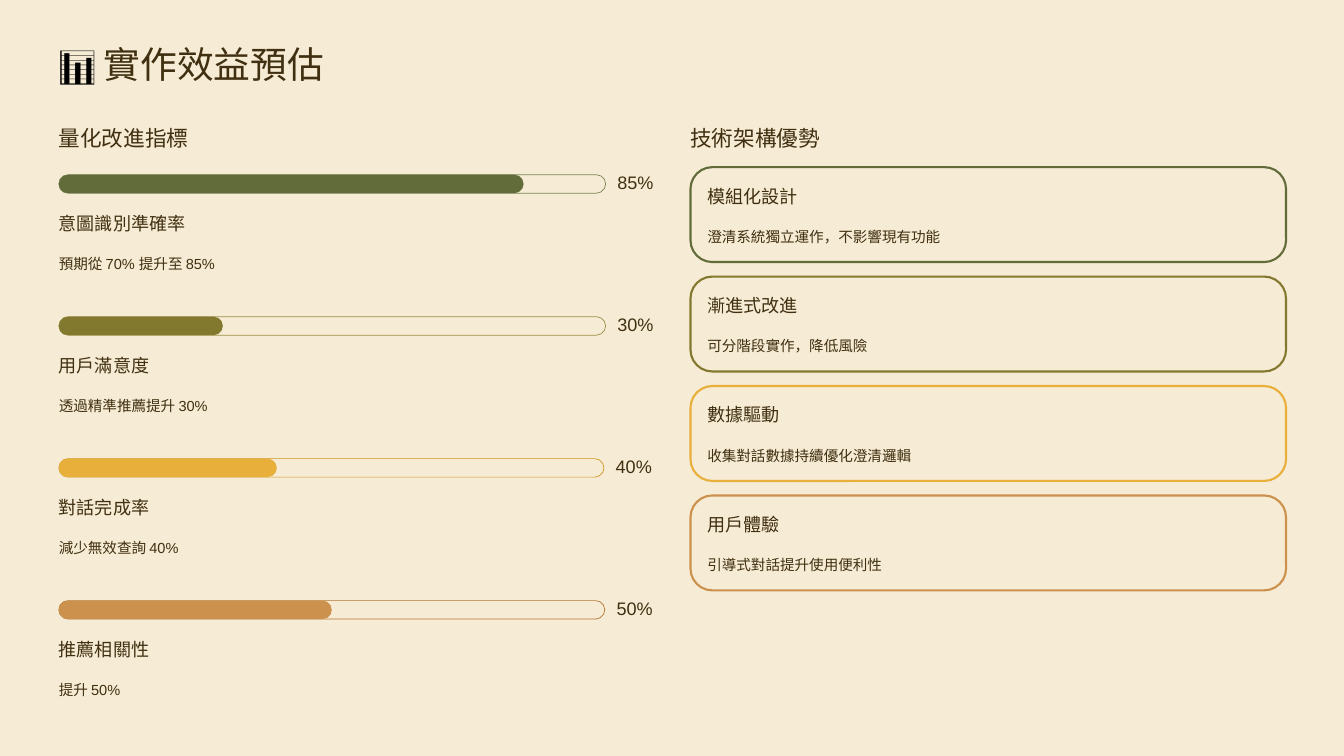
from pptx import Presentation
from pptx.dml.color import RGBColor
from pptx.enum.shapes import MSO_SHAPE
from pptx.util import Inches, Pt

CREAM = RGBColor(0xF6, 0xEB, 0xD4)
BROWN = RGBColor(0x40, 0x30, 0x11)
BLACK = RGBColor(0x00, 0x00, 0x00)
GREEN = RGBColor(0x62, 0x6C, 0x3B)
OLIVE = RGBColor(0x83, 0x79, 0x2E)
GOLD = RGBColor(0xE8, 0xAF, 0x3B)
COPPER = RGBColor(0xCC, 0x91, 0x4D)
GREEN_EDGE = RGBColor(0x7B, 0x85, 0x54)
OLIVE_EDGE = RGBColor(0x9C, 0x92, 0x47)
GOLD_EDGE = RGBColor(0xCE, 0x95, 0x21)
COPPER_EDGE = RGBColor(0xB2, 0x77, 0x33)

COLUMNS, ROWS = 16, 9
LEFT, RIGHT, PANEL = 0.7, 8.22, 7.09
BAR_TOP, BAR_STEP, BAR_HEIGHT = 2.08, 1.69, 0.22
CARD_TOP, CARD_STEP, CARD_HEIGHT, CARD_PAD = 1.99, 1.303, 1.13, 0.2

METRICS = [
    (85, 6.51, GREEN, GREEN_EDGE, "意圖識別準確率", "預期從 70% 提升至 85%"),
    (30, 6.51, OLIVE, OLIVE_EDGE, "用戶滿意度", "透過精準推薦提升 30%"),
    (40, 6.49, GOLD, GOLD_EDGE, "對話完成率", "減少無效查詢 40%"),
    (50, 6.5, COPPER, COPPER_EDGE, "推薦相關性", "提升 50%"),
]
ADVANTAGES = [
    (GREEN, "模組化設計", "澄清系統獨立運作，不影響現有功能"),
    (OLIVE, "漸進式改進", "可分階段實作，降低風險"),
    (GOLD, "數據驅動", "收集對話數據持續優化澄清邏輯"),
    (COPPER, "用戶體驗", "引導式對話提升使用便利性"),
]


class Deck:
    """Hold the style and current slide, measured on a 16 by 9 grid."""

    def __init__(self, font="Arial"):
        self.prs = Presentation()
        self.prs.slide_width, self.prs.slide_height = Inches(16), Inches(9)
        self.font = font
        self.slide = self.prs.slides.add_slide(self.prs.slide_layouts[6])
        fill = self.slide.background.fill
        fill.solid()
        fill.fore_color.rgb = CREAM

    def grid(self, x, y, w, h):
        col = self.prs.slide_width / COLUMNS
        row = self.prs.slide_height / ROWS
        return [round(n) for n in (x * col, y * row, w * col, h * row)]

    def text(self, x, y, w, h, runs, size, spacing):
        tf = self.slide.shapes.add_textbox(*self.grid(x, y, w, h)).text_frame
        tf.margin_left = tf.margin_top = tf.margin_right = tf.margin_bottom = 0
        tf.word_wrap = False
        p = tf.paragraphs[0]
        p.line_spacing = Pt(spacing)
        for words, color in runs:
            r = p.add_run()
            r.text = words
            r.font.name = self.font
            r.font.size = Pt(size)
            r.font.color.rgb = color

    def heading(self, x, words):
        self.text(x, 1.47, 2.63, 0.33, [(words, BROWN)], 18.5, 23.5)

    def pill(self, x, y, w, h, radius, fill=None, edge=None, weight=0.6):
        sp = self.slide.shapes.add_shape(
            MSO_SHAPE.ROUNDED_RECTANGLE, *self.grid(x, y, w, h))
        sp.shadow.inherit = False
        sp.adjustments[0] = radius
        if fill is None:
            sp.fill.background()
        else:
            sp.fill.solid()
            sp.fill.fore_color.rgb = fill
        if edge is None:
            sp.line.fill.background()
        else:
            sp.line.color.rgb = edge
            sp.line.width = Pt(weight)

    def caption(self, x, y, w, title, detail):
        self.text(x, y, 2.19, 0.27, [(title, BROWN)], 15.5, 19.5)
        self.text(x, y + 0.45, w, 0.28, [(detail, BROWN)], 12.5, 20)

    def metric(self, y, percent, track, color, edge, title, detail):
        self.pill(LEFT, y, track, BAR_HEIGHT, 0.5, CREAM, edge)
        self.pill(LEFT, y, track * percent / 100, BAR_HEIGHT, 0.5, color)
        self.text(LEFT + track + 0.14, y, 0.45, BAR_HEIGHT,
                  [(f"{percent}%", BROWN)], 15.5, 15.5)
        self.caption(LEFT, y + 0.44, PANEL, title, detail)

    def card(self, y, color, title, detail):
        self.pill(RIGHT, y, PANEL, CARD_HEIGHT, 0.23, edge=color, weight=1.8)
        self.caption(RIGHT + CARD_PAD, y + CARD_PAD, PANEL - 2 * CARD_PAD,
                     title, detail)


def main():
    deck = Deck()
    deck.text(LEFT, 0.48, 4.38, 0.55,
              [("📊", BLACK), (" 實作效益預估", BROWN)], 31.5, 39)
    deck.heading(LEFT, "量化改進指標")
    for i, metric in enumerate(METRICS):
        deck.metric(BAR_TOP + i * BAR_STEP, *metric)
    deck.heading(RIGHT, "技術架構優勢")
    for i, advantage in enumerate(ADVANTAGES):
        deck.card(CARD_TOP + i * CARD_STEP, *advantage)
    deck.prs.save("out.pptx")


if __name__ == "__main__":
    main()
